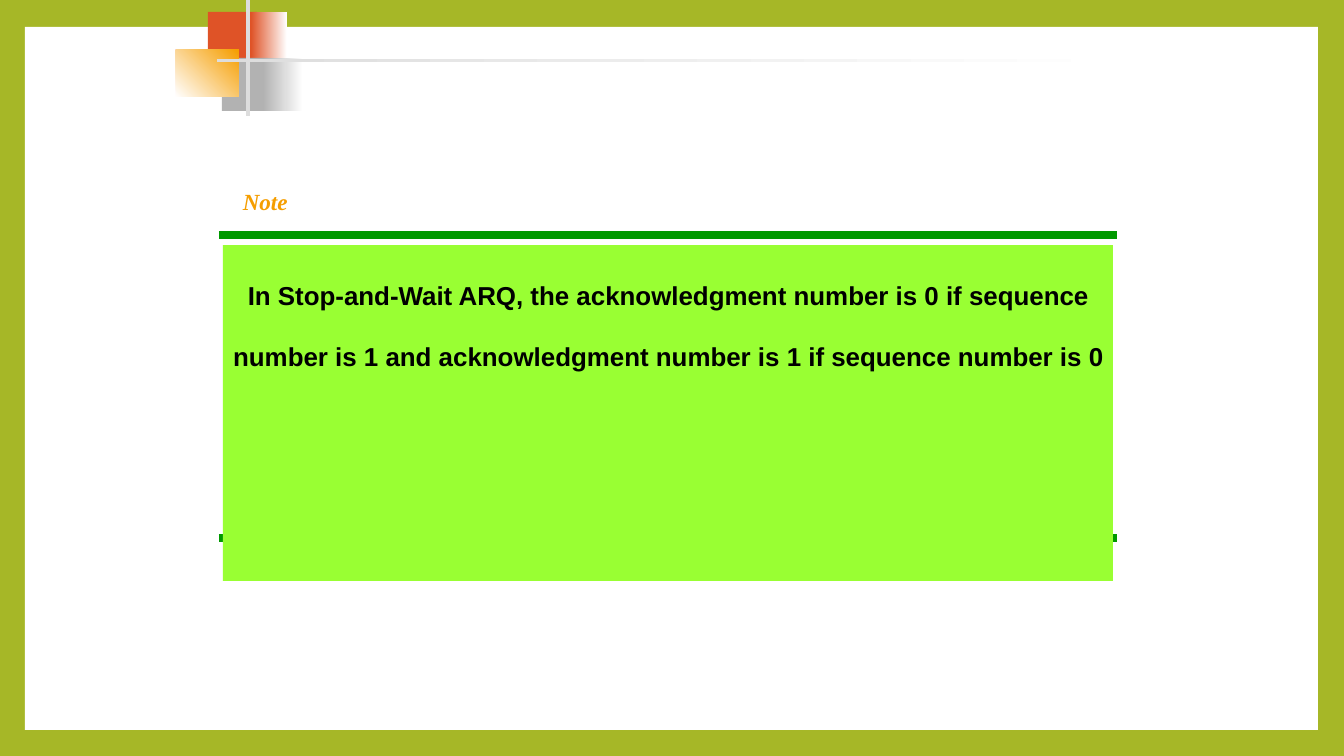
import pptx
import pptx.dml.color
import pptx.enum.shapes
import pptx.enum.text
import pptx.oxml.ns
import pptx.util
from lxml import etree

PX = 914400 / 100.8


def px(*lengths):
    """Turn pixel lengths into EMU."""
    return [pptx.util.Emu(round(n * PX)) for n in lengths]


def rgb(color):
    return pptx.dml.color.RGBColor.from_string(color)


prs = pptx.Presentation()
prs.slide_width, prs.slide_height = px(1344, 756)
s = prs.slides.add_slide(prs.slide_layouts[6])
s.background.fill.solid()
s.background.fill.fore_color.rgb = rgb("A6B727")

# Each block: left, top, width, height, fill colours (two make a gradient), angle
blocks = [
    (25, 27, 1293, 703, ["FFFFFF"], 0),
    (208, 12, 49, 52, ["DF5327"], 0),
    (251, 12, 36, 52, ["DF5327", "FFFFFF"], 0),
    (222, 58, 46, 53, ["B2B2B2"], 0),
    (263, 58, 40, 53, ["B2B2B2", "FFFFFF"], 0),
    (176, 50, 63, 47, ["FFFFFF", "F59E00"], 45),
    (246, 0, 4, 116, ["DDDDDD"], 0),
    (217, 59, 907, 3, ["DDDDDD", "FFFFFF"], 0),
]
for left, top, width, height, colors, angle in blocks:
    sp = s.shapes.add_shape(pptx.enum.shapes.MSO_SHAPE.RECTANGLE,
                            *px(left, top, width, height))
    sp.shadow.inherit = False
    sp.line.fill.background()
    if len(colors) == 1:
        sp.fill.solid()
        sp.fill.fore_color.rgb = rgb(colors[0])
    else:
        sp.fill.gradient()
        sp.fill.gradient_angle = angle
        for position, (stop, color) in enumerate(zip(sp.fill.gradient_stops, colors)):
            stop.position = position
            stop.color.rgb = rgb(color)

for y in (235, 538):
    rule = s.shapes.add_connector(pptx.enum.shapes.MSO_CONNECTOR.STRAIGHT,
                                  *px(219, y, 1117, y))
    rule.line.color.rgb = rgb("009900")
    rule.line.width = pptx.util.Pt(6)
    etree.SubElement(rule._element.spPr, pptx.oxml.ns.qn("a:effectLst"))

statement = s.shapes.add_shape(pptx.enum.shapes.MSO_SHAPE.RECTANGLE,
                               *px(223, 245, 890, 336))
statement.shadow.inherit = False
statement.fill.solid()
statement.fill.fore_color.rgb = rgb("99FF33")
statement.line.fill.background()
tf = statement.text_frame
tf.word_wrap = True
tf.vertical_anchor = pptx.enum.text.MSO_ANCHOR.TOP
tf.margin_left, tf.margin_right = px(5, 5)
p = tf.paragraphs[0]
p.alignment = pptx.enum.text.PP_ALIGN.CENTER
p.line_spacing = 1.95
r = p.add_run()
r.text = ("In Stop-and-Wait ARQ, the acknowledgment number is 0 if sequence "
          "number is 1 and acknowledgment number is 1 if sequence number is 0")
r.font.name = "Arial"
r.font.size = pptx.util.Pt(18.5)
r.font.bold = True
r.font.color.rgb = rgb("000000")

note = s.shapes.add_textbox(*px(233, 159, 97, 57))
tf = note.text_frame
tf.word_wrap = False
tf.vertical_anchor = pptx.enum.text.MSO_ANCHOR.BOTTOM
tf.margin_bottom = px(1)[0]
r = tf.paragraphs[0].add_run()
r.text = "Note"
r.font.name = "Times New Roman"
r.font.size = pptx.util.Pt(16.5)
r.font.bold = r.font.italic = True
r.font.color.rgb = rgb("F59E00")

prs.save("out.pptx")
